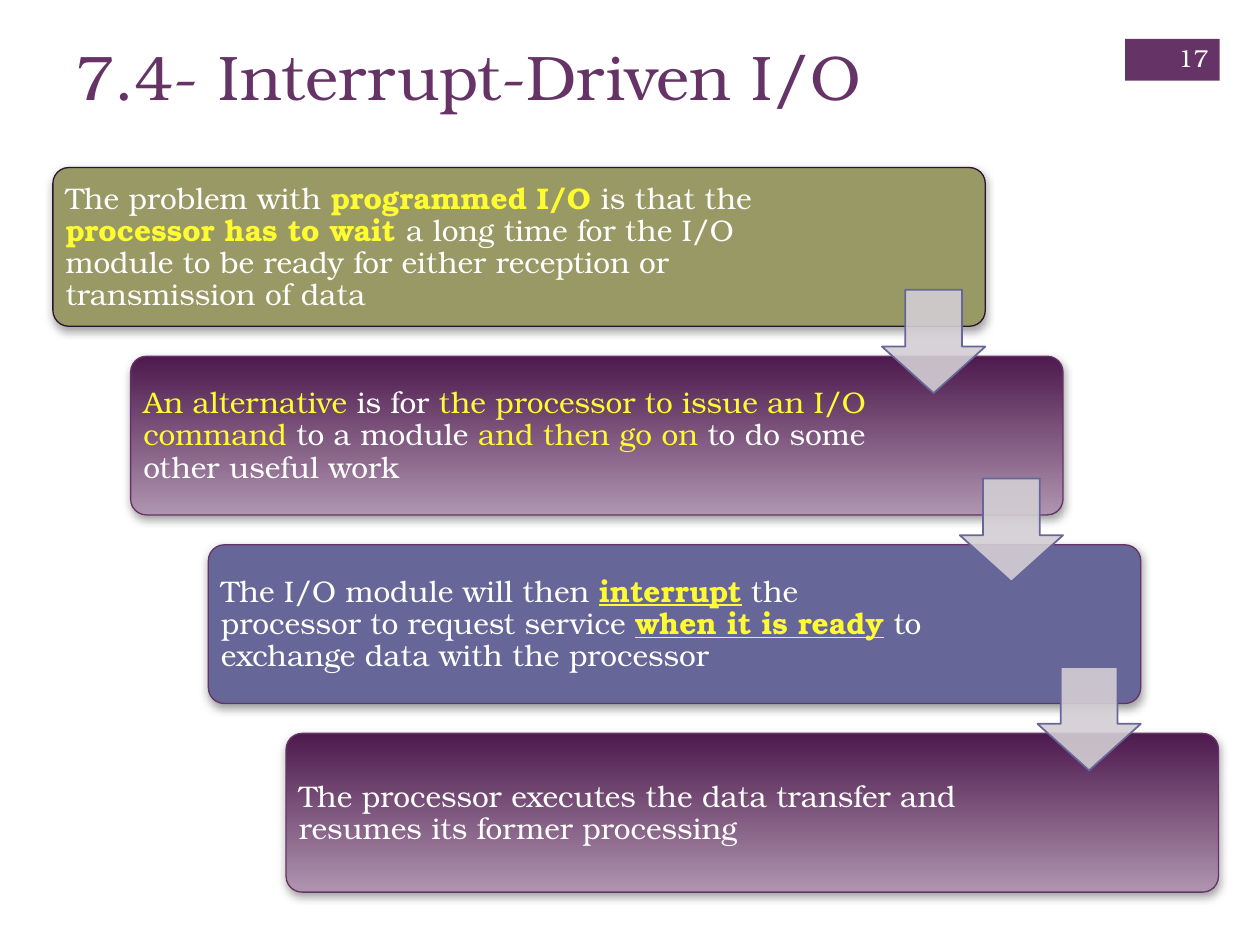
from dataclasses import dataclass

from lxml import etree
from pptx import Presentation
from pptx import util as u
from pptx.dml.color import RGBColor
from pptx.enum import shapes, text
from pptx.oxml import ns


@dataclass(frozen=True)
class Theme:
    font: str = "TeX Gyre Bonum"
    title_size: int = 36
    body_size: int = 17
    number_size: int = 14
    plum: str = "663366"
    dark: str = "2B142D"
    olive: str = "999966"
    slate: str = "666699"
    fade: tuple = ("4D1A4D", "AF94AF")
    arrow: str = "D3CED3"
    shadow: str = "808080"
    white: str = "FFFFFF"
    accent: str = "FEFB31"


class SlideBuilder:
    columns, rows = 100, 75

    def __init__(self, deck, theme):
        self.theme = theme
        self.cell_width = deck.slide_width / self.columns
        self.cell_height = deck.slide_height / self.rows
        self.slide = deck.slides.add_slide(deck.slide_layouts[6])

    def place(self, left, top, width, height):
        return (round(left * self.cell_width), round(top * self.cell_height),
                round(width * self.cell_width), round(height * self.cell_height))

    def shape(self, kind, area, fill, line=None, weight=0.75, adjust=()):
        shape = self.slide.shapes.add_shape(kind, *self.place(*area))
        for index, value in enumerate(adjust):
            shape.adjustments[index] = value
        if isinstance(fill, tuple):
            shape.fill.gradient()
            shape.fill.gradient_angle = 270
            for stop, color in zip(shape.fill.gradient_stops, fill):
                stop.color.rgb = RGBColor.from_string(color)
        else:
            shape.fill.solid()
            shape.fill.fore_color.rgb = RGBColor.from_string(fill)
        if line:
            shape.line.color.rgb = RGBColor.from_string(line)
            shape.line.width = u.Pt(weight)
        else:
            shape.line.fill.background()
        shape.shadow.inherit = False
        return shape

    def add_alpha(self, color, percent):
        etree.SubElement(color, ns.qn("a:alpha"), val=str(percent * 1000))

    def card(self, area, fill, line):
        card = self.shape(shapes.MSO_SHAPE.ROUNDED_RECTANGLE, area, fill, line, adjust=(0.1,))
        effects = card._element.spPr.find(ns.qn("a:effectLst"))
        shadow = etree.SubElement(effects, ns.qn("a:outerShdw"), blurRad=str(u.Pt(5)),
                                  dist=str(u.Pt(2)), dir="5400000", rotWithShape="0")
        color = etree.SubElement(shadow, ns.qn("a:srgbClr"), val=self.theme.shadow)
        self.add_alpha(color, 75)

    def arrow(self, area):
        arrow = self.shape(shapes.MSO_SHAPE.DOWN_ARROW, area, self.theme.arrow,
                           self.theme.slate, 1, (0.55, 0.45))
        self.add_alpha(arrow._element.spPr.find(ns.qn("a:solidFill"))[0], 90)

    def text(self, area, spans, size, anchor=text.MSO_ANCHOR.MIDDLE,
             align=text.PP_ALIGN.LEFT, inset=None, spacing=None):
        frame = self.slide.shapes.add_textbox(*self.place(*area)).text_frame
        frame.word_wrap = True
        frame.vertical_anchor = anchor
        if inset is not None:
            frame.margin_left = frame.margin_right = u.Inches(inset)
            frame.margin_top = frame.margin_bottom = u.Inches(inset)
        para = frame.paragraphs[0]
        para.alignment = align
        para.line_spacing = spacing
        for words, color, strong, underlined in spans:
            span = para.add_run()
            span.text = words
            span.font.name = self.theme.font
            span.font.size = u.Pt(size)
            span.font.color.rgb = RGBColor.from_string(color)
            span.font.bold = strong
            span.font.underline = underlined


def main():
    deck = Presentation()
    deck.slide_width, deck.slide_height = u.Inches(10), u.Inches(7.5)
    theme = Theme()
    page = SlideBuilder(deck, theme)

    def plain(words):
        return words, theme.white, False, False

    def bright(words, strong=False, underlined=False):
        return words, theme.accent, strong, underlined

    steps = [
        (theme.olive, theme.dark, [
            plain("The problem with "), bright("programmed I/O ", True),
            plain("is that the "), bright("processor has to wait ", True),
            plain("a long time for the I/O module to be ready for either "
                  "reception or transmission of data")]),
        (theme.fade, theme.plum, [
            bright("An alternative"), plain(" is for "),
            bright("the processor to issue an I/O command"), plain(" to a module "),
            bright("and then go on "), plain("to do some other useful work")]),
        (theme.slate, theme.plum, [
            plain("The I/O module will then "), bright("interrupt", True, True),
            plain(" the processor to request service "),
            bright("when it is ready", True, True),
            plain(" to exchange data with the processor")]),
        (theme.fade, theme.plum, [
            plain("The processor executes the data transfer and "
                  "resumes its former processing")]),
    ]

    page.shape(shapes.MSO_SHAPE.RECTANGLE, (89.3, 3.1, 7.5, 3.3), theme.plum)
    page.text((5, 2.5, 82.6, 12.2), [("7.4- Interrupt-Driven I/O", theme.plum, False, False)],
              theme.title_size, text.MSO_ANCHOR.TOP)

    card_width, card_height, arrow_side = 74, 12.6, 8.2
    corners = [(4.2 + 6.17 * step, 13.3 + 14.97 * step) for step in range(len(steps))]
    for (left, top), (fill, line, spans) in zip(corners, steps):
        page.card((left, top, card_width, card_height), fill, line)
        page.text((left + 0.3, top + 0.4, 58.9, 11.9), spans, theme.body_size,
                  inset=0.07, spacing=0.9)
    for left, top in corners[:-1]:
        page.arrow((left + card_width - arrow_side, top + 9.7, arrow_side, arrow_side))

    page.text((90.8, 2.6, 6.1, 4), [plain("17")], theme.number_size,
              align=text.PP_ALIGN.RIGHT)
    deck.save("out.pptx")


if __name__ == "__main__":
    main()
